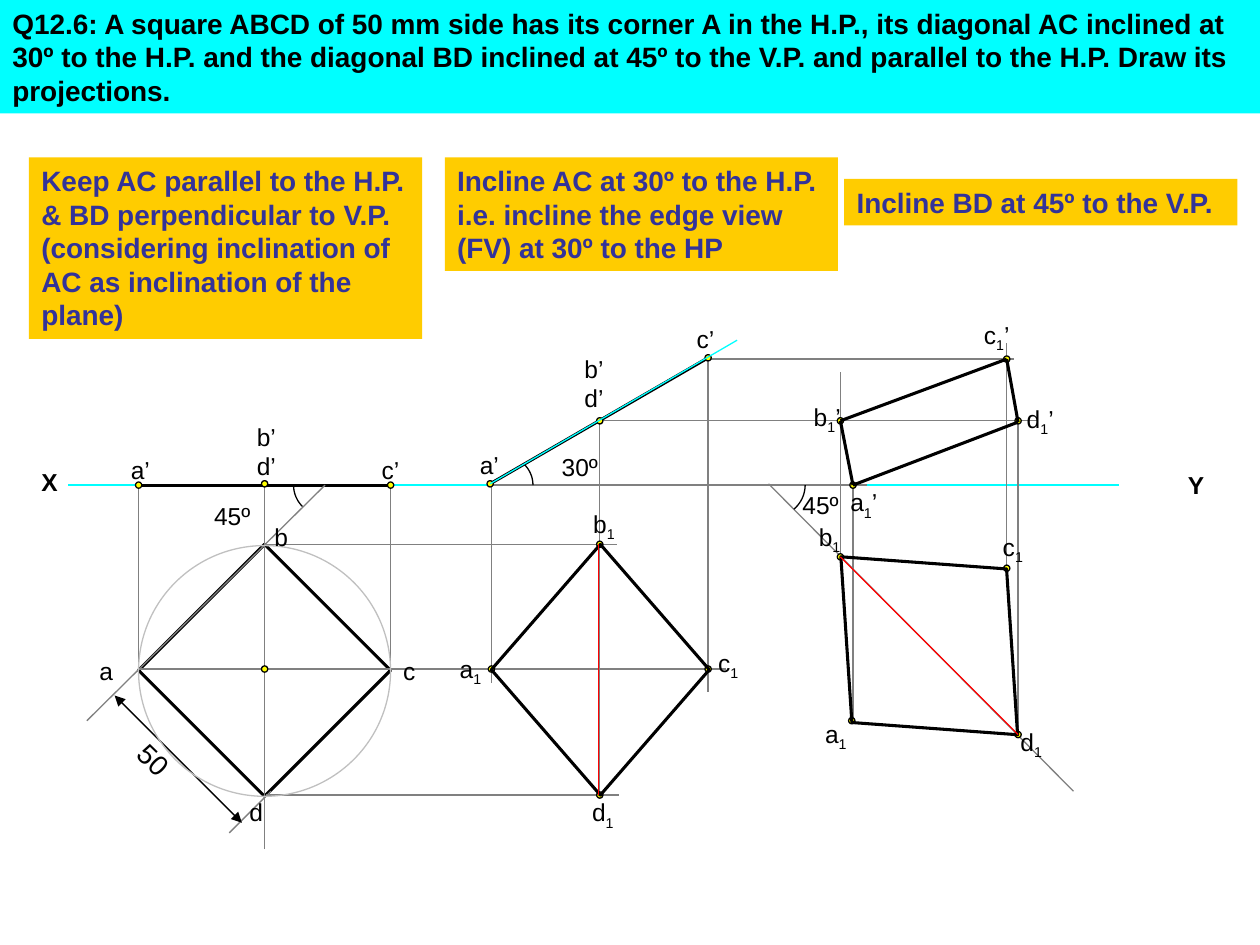
from math import cos, radians, sin

from lxml import etree
from pptx import Presentation
from pptx.dml.color import RGBColor
from pptx.enum.shapes import MSO_CONNECTOR, MSO_SHAPE
from pptx.enum.text import MSO_ANCHOR, PP_ALIGN
from pptx.oxml.ns import qn
from pptx.util import Inches, Pt

STRAIGHT = MSO_CONNECTOR.STRAIGHT
RECT, DIAMOND, OVAL = MSO_SHAPE.RECTANGLE, MSO_SHAPE.DIAMOND, MSO_SHAPE.OVAL
TOP, LEFT = MSO_ANCHOR.TOP, PP_ALIGN.LEFT
FONT = "Arial"
BLACK, GREY, SILVER = "000000", "808080", "C0C0C0"
CYAN, YELLOW, RED, AMBER, NAVY = "00FFFF", "FFFF00", "FF0000", "FFCC00", "333399"
THIN, AXIS, THICK = 0.75, 1, 1.75
DOT = 0.05

PANELS = [
    (0, 0, 10, 0.9, CYAN, BLACK,
     "Q12.6: A square ABCD of 50 mm side has its corner A in the H.P., its diagonal AC "
     "inclined at 30º to the H.P. and the diagonal BD inclined at 45º to the V.P. and "
     "parallel to the H.P. Draw its projections."),
    (0.23, 1.25, 3.12, 1.44, AMBER, NAVY,
     "Keep AC parallel to the H.P. & BD perpendicular to V.P. (considering inclination "
     "of AC as inclination of the plane)"),
    (3.53, 1.25, 3.12, 0.9, AMBER, NAVY,
     "Incline AC at 30º to the H.P. i.e. incline the edge view (FV) at 30º to the HP"),
    (6.7, 1.42, 3.12, 0.37, AMBER, NAVY, "Incline BD at 45º to the V.P."),
]
XY_LINE = (0.54, 3.85, 8.88, 3.85)
FIRST_PLAN = (1.1, 4.32, 2, 2, 0)
LATER_PLANS = [(3.9, 4.32, 1.73, 1.99, 0), (6.51, 4.13, 1.73, 1.99, 315.2)]
CIRCLE = (1.1, 4.33, 2, 1.99)
EDGE_VIEWS = [(1.1, 3.85, 3.1, 3.85), (3.89, 3.84, 5.62, 2.84)]
VERTICALS = [
    (1.1, 5.31, 3.85), (3.1, 5.31, 3.85), (2.1, 6.74, 3.84), (3.9, 5.42, 3.83),
    (4.76, 6.33, 3.33), (5.62, 5.49, 2.84), (6.67, 4.42, 2.95), (6.77, 5.72, 3.85),
    (7.99, 4.51, 2.72), (8.08, 5.83, 3.31),
]
HORIZONTALS = [
    (5.31, 1.1, 5.76), (4.32, 2.1, 4.9), (6.31, 2.11, 4.91), (2.85, 5.62, 8.05),
    (3.34, 4.75, 8.24), (3.85, 3.88, 6.88),
]
SLANTS = [(0.69, 5.72, 2.58, 3.85), (2.15, 6.28, 1.82, 6.61), (6.1, 3.84, 8.52, 6.28)]
DIMENSION = (0.91, 5.52, 1.92, 6.53)
FINAL_VIEW = [(6.77, 3.85), (6.67, 3.34), (7.99, 2.85), (8.08, 3.35)]
DIAGONALS = [(4.75, 4.32, 4.75, 6.31), (6.67, 4.42, 8.08, 5.83)]
INCLINED_AXIS = (3.89, 3.84, 5.85, 2.7)
DOTS = [
    (1.1, 3.85), (2.1, 3.84), (3.1, 3.85), (3.89, 3.84), (4.76, 3.34), (5.62, 2.84),
    (3.9, 5.31), (5.62, 5.31), (4.76, 4.32), (4.76, 6.31), (6.76, 5.72), (7.99, 4.51),
    (6.67, 4.42), (8.08, 5.83), (6.77, 3.85), (6.67, 3.34), (7.99, 2.85), (8.08, 3.34),
    (2.1, 5.31),
]
ARCS = [(2.57, 3.85, 0.24, 180, 135), (6.14, 3.85, 0.25, 0, 50), (4, 3.85, 0.23, 0, -45)]
LABELS = {
    0.41: [(0.69, 5.16, "a"), (2.08, 4.09, "b"), (3.1, 5.16, "c"), (1.88, 6.28, "d")],
    0.42: [
        (0.94, 3.56, "a’"), (1.94, 3.3, "b’d’"), (2.93, 3.56, "c’"),
        (3.71, 3.52, "a’"), (4.54, 2.76, "b’d’"), (5.43, 2.52, "c’"),
        (3.55, 5.14, "a", "1"), (4.61, 3.99, "b", "1"), (5.6, 5.09, "c", "1"),
        (4.6, 6.28, "d", "1"), (6.45, 5.66, "a", "1"), (6.4, 4.09, "b", "1"),
        (7.86, 4.17, "c", "1"), (8, 5.72, "d", "1"),
    ],
    0.51: [
        (6.65, 3.82, "a", "1", "’"), (6.36, 3.14, "b", "1", "’"),
        (7.71, 2.49, "c", "1", "’"), (8.05, 3.16, "d", "1", "’"),
    ],
    0.55: [(1.6, 3.93, "45º"), (4.36, 3.54, "30º"), (6.27, 3.84, "45º")],
}
AXIS_NAMES = [(0.23, 3.66, 0.46, "X"), (9.33, 3.68, 0.3, "Y")]


def rgb(color):
    """Turn a hex string into a colour."""
    return RGBColor.from_string(color)


def write(s, runs, size, color=BLACK, bold=False):
    """Write runs into a shape, lowering each index 1."""
    tf = s.text_frame
    tf.word_wrap = True
    tf.vertical_anchor = TOP
    p = tf.paragraphs[0]
    p.alignment = LEFT
    for text in runs:
        r = p.add_run()
        r.text = text
        r.font.name, r.font.size, r.font.bold = FONT, Pt(size), bold
        r.font.color.rgb = rgb(color)
        if text == "1":
            r.font._element.set("baseline", "-25000")


def style(sp, fill=None, line=None, width=THIN):
    """Set fill and outline and drop the shadow."""
    sp.shadow.inherit = False
    if fill:
        sp.fill.solid()
        sp.fill.fore_color.rgb = rgb(fill)
    else:
        sp.fill.background()
    if line:
        sp.line.color.rgb = rgb(line)
        sp.line.width = Pt(width)
    else:
        sp.line.fill.background()


def add_shape(s, kind, x, y, w, h, rotation=0, **look):
    """Add a styled preset shape."""
    sp = s.shapes.add_shape(kind, Inches(x), Inches(y), Inches(w), Inches(h))
    sp.rotation = rotation
    style(sp, **look)
    return sp


def add_line(s, ends, color=GREY, width=THIN, arrows=False):
    """Add a straight line, with arrowheads at both ends if asked."""
    c = s.shapes.add_connector(STRAIGHT, *[Inches(v) for v in ends])
    c.line.color.rgb = rgb(color)
    c.line.width = Pt(width)
    if arrows:
        for tag in ("a:headEnd", "a:tailEnd"):
            etree.SubElement(c.line._get_or_add_ln(), qn(tag), type="triangle")
    etree.SubElement(c._element.spPr, qn("a:effectLst"))


def add_arc(s, cx, cy, radius, start, end, steps=12):
    """Add an open circular arc for an angle mark."""
    angles = [radians(start + (end - start) * i / steps) for i in range(steps + 1)]
    points = [(Inches(cx + radius * cos(a)), Inches(cy + radius * sin(a))) for a in angles]
    builder = s.shapes.build_freeform(*points[0])
    builder.add_line_segments(points[1:], close=False)
    style(builder.convert_to_shape(), line=BLACK)


def add_label(s, x, y, w, runs, size=14, h=0.33, bold=False):
    """Add a text box and return it."""
    box = s.shapes.add_textbox(Inches(x), Inches(y), Inches(w), Inches(h))
    write(box, runs, size, bold=bold)
    return box


def main():
    """Build the projection slide."""
    prs = Presentation()
    prs.slide_width, prs.slide_height = Inches(10), Inches(7.5)
    s = prs.slides.add_slide(prs.slide_layouts[6])

    for x, y, w, h, fill, color, text in PANELS:
        write(add_shape(s, RECT, x, y, w, h, fill=fill), [text], 16, color, True)
    add_line(s, XY_LINE, CYAN, AXIS)
    add_shape(s, DIAMOND, *FIRST_PLAN, line=BLACK, width=THICK)
    for ends in EDGE_VIEWS:
        add_line(s, ends, BLACK, THICK)
    projectors = [(x, y1, x, y2) for x, y1, y2 in VERTICALS]
    projectors += [(x1, y, x2, y) for y, x1, x2 in HORIZONTALS]
    for ends in projectors + SLANTS:
        add_line(s, ends)
    add_line(s, DIMENSION, BLACK, arrows=True)

    for x, y in DOTS:
        add_shape(s, OVAL, x - DOT / 2, y - DOT / 2, DOT, DOT, fill=YELLOW, line=BLACK)
    for plan in LATER_PLANS:
        add_shape(s, DIAMOND, *plan, line=BLACK, width=THICK)
    for a, b in zip(FINAL_VIEW, FINAL_VIEW[1:] + FINAL_VIEW[:1]):
        add_line(s, a + b, BLACK, THICK)
    for arc in ARCS:
        add_arc(s, *arc)
    add_line(s, INCLINED_AXIS, CYAN)
    add_shape(s, OVAL, *CIRCLE, line=SILVER)
    for ends in DIAGONALS:
        add_line(s, ends, RED)

    for w, labels in LABELS.items():
        for x, y, *runs in labels:
            add_label(s, x, y, w, runs, h=0.57 if runs == ["b’d’"] else 0.33)
    for x, y, w, name in AXIS_NAMES:
        add_label(s, x, y, w, [name], bold=True)
    add_label(s, 0.97, 5.91, 0.64, ["50"], size=16, h=0.37).rotation = 44.2
    prs.save("out.pptx")


if __name__ == "__main__":
    main()
